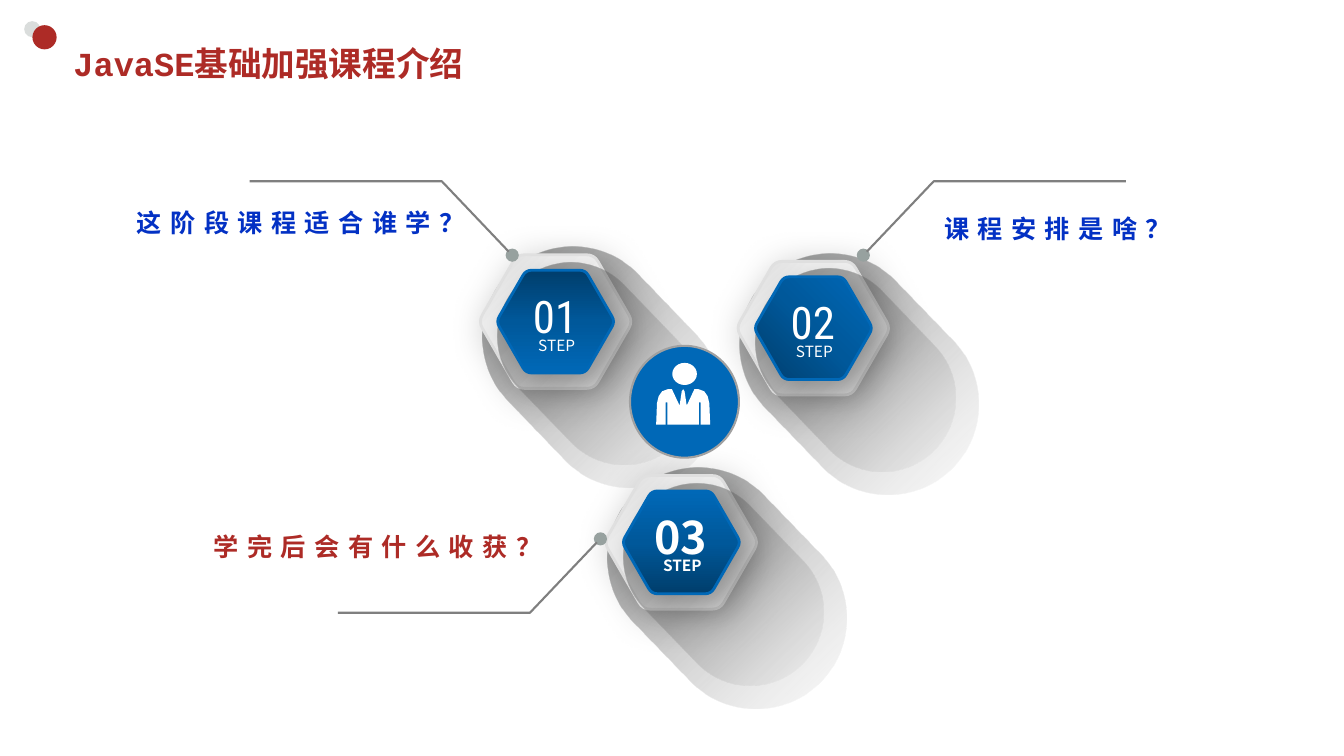
from math import cos, sin, radians

from lxml import etree
from pptx import Presentation
from pptx.dml.color import RGBColor
from pptx.enum import shapes, text
from pptx.oxml import ns, parse_xml
from pptx.util import Pt

COLORS = {"red": "AD2B26", "pale": "DADDDC", "blue": "0068B7", "mid_blue": "00589A",
          "navy": "003E6C", "label": "0331C4", "white": "FFFFFF", "rim": "E0E0E0",
          "light": "ECECEC", "silver": "D9D9D9", "dot": "97A19F", "leader": "7F7F7F",
          "ring": "A0A0A0", "soot": "363C3B", "smoke": "6C6C6C", "mist": "D8D8D8"}
RGB = {name: RGBColor.from_string(value) for name, value in COLORS.items()}
CJK = "Noto Sans CJK SC"
OVAL = shapes.MSO_SHAPE.OVAL
CENTER, LEFT, RIGHT = (text.PP_ALIGN.CENTER, text.PP_ALIGN.LEFT, text.PP_ALIGN.RIGHT)


def gradient(shape, stops, direction):
    """Fill with (percent, colour, opacity) stops, along an angle or from the lower left."""
    if direction == "corner":
        shade = '<a:path path="circle"><a:fillToRect t="100000" r="100000"/></a:path>'
    else:
        shade = f'<a:lin ang="{direction * 60000}" scaled="0"/>'
    marks = "".join(
        f'<a:gs pos="{pos * 1000}"><a:srgbClr val="{COLORS[color]}">'
        f'<a:alpha val="{opacity * 1000}"/></a:srgbClr></a:gs>'
        for pos, color, opacity in stops)
    fill = parse_xml(f'<a:gradFill {ns.nsdecls("a")} rotWithShape="1">'
                     f'<a:gsLst>{marks}</a:gsLst>{shade}</a:gradFill>')
    shape.fill.background()
    properties = shape._element.spPr
    properties.replace(properties.find(ns.qn("a:noFill")), fill)


def write(words, left, top, width, height, size, color, font=CJK, bold=True,
          align=LEFT, spacing=0, leading=1.0):
    box = page.shapes.add_textbox(Pt(left), Pt(top), Pt(width), Pt(height))
    box.text_frame.word_wrap = True
    para = box.text_frame.paragraphs[0]
    para.text = words
    para.alignment = align
    para.line_spacing = leading
    para.font.size = Pt(size)
    para.font.bold = bold
    para.font.color.rgb = RGB[color]
    para.font.name = font
    style = para._p.pPr.find(ns.qn("a:defRPr"))
    style.set("spc", str(spacing * 100))
    etree.SubElement(style, ns.qn("a:ea")).set("typeface", CJK)
    return box


deck = Presentation()
deck.slide_width, deck.slide_height = Pt(960), Pt(540)
page = deck.slides.add_slide(deck.slide_layouts[6])

# Title with its two dots
for left, top, size, color in [(17.3, 15.1, 11.5, "pale"), (23.2, 18, 17.3, "red")]:
    dot = page.shapes.add_shape(OVAL, Pt(left), Pt(top), Pt(size), Pt(size))
    dot.shadow.inherit = False
    dot.fill.solid()
    dot.fill.fore_color.rgb = RGB[color]
    dot.line.fill.background()
title = write("JavaSE基础加强课程介绍", 45.4, 26.6, 846, 37.4, 24, "red", "Courier New")
title.text_frame.vertical_anchor = text.MSO_ANCHOR.MIDDLE

# Hexagon steps: a pale plate and a blue face, each over a long soft shade
SHADE = [(0, "soot", 61), (37, "smoke", 50), (100, "mist", 0)]
PLATE = [(0, "white", 100), (73, "light", 100), (100, "silver", 100)]
FACE = [(0, "navy", 100), (50, "mid_blue", 100), (100, "blue", 100)]
CUT = 0.1  # share of each side taken by a rounded corner
steps = [("01", 396.9, 229.7, 90, "Roboto Condensed", False),
         ("03", 486.7, 387.4, 270, CJK, True),
         ("02", 581, 234.4, "corner", "Roboto Condensed", False)]

for number, x, y, face_direction, font, bold in steps:
    layers = [(55.1, PLATE, 225, "rim", (188.6, 129.6, 32.7), (28, 28, 7)),
              (42.4, FACE, face_direction, "blue", (159.8, 105.1, 30), (25, 20, 9))]
    for radius, stops, direction, edge, (width, height, shift), (opacity, blur, distance) in layers:
        shade = page.shapes.add_shape(
            shapes.MSO_SHAPE.ROUNDED_RECTANGLE, Pt(x + shift - width / 2),
            Pt(y + shift - height / 2), Pt(width), Pt(height))
        shade.adjustments[0] = 0.5
        shade.rotation = 46
        shade.shadow.inherit = False
        shade.line.fill.background()
        gradient(shade, SHADE, 0)

        corners = [(x + radius * cos(radians(a)), y + radius * sin(radians(a)))
                   for a in range(0, 360, 60)]
        outline = []
        for i, corner in enumerate(corners):
            before, after = corners[i - 1], corners[(i + 1) % 6]
            for t in (0, 0.25, 0.5, 0.75, 1):
                outline.append(tuple(
                    Pt(c + CUT * ((1 - t) ** 2 * (b - c) + t ** 2 * (a - c)))
                    for b, c, a in zip(before, corner, after)))
        builder = page.shapes.build_freeform(*outline[0])
        builder.add_line_segments(outline[1:])
        hexagon = builder.convert_to_shape()
        gradient(hexagon, stops, direction)
        hexagon.line.color.rgb = RGB[edge]
        hexagon.line.width = Pt(2)
        hexagon.shadow.inherit = False
        effects = hexagon._element.spPr.find(ns.qn("a:effectLst"))
        effects.append(parse_xml(
            f'<a:outerShdw {ns.nsdecls("a")} blurRad="{Pt(blur)}" dist="{Pt(distance)}" '
            f'dir="2700000" algn="tl" rotWithShape="0"><a:srgbClr val="000000">'
            f'<a:alpha val="{opacity * 1000}"/></a:srgbClr></a:outerShdw>'))
    write(number, x - 28.5, y - 27.2, 56.2, 42.5, 32, "white", font, bold, CENTER)
    write("STEP", x - 27.7, y + 6.5, 56.9, 18.7, 11, "white", CJK, bold, CENTER)

# Leader lines, each starting at a dot and running outwards
for x, y, across, down in [(619.2, 179.8, 1, -1), (363.4, 179.8, -1, -1), (426.4, 387.4, -1, 1)]:
    dot = page.shapes.add_shape(OVAL, Pt(x - 2.5 * across - 4.7), Pt(y - 2.5 * down - 4.7),
                                Pt(9.4), Pt(9.4))
    dot.shadow.inherit = False
    dot.fill.solid()
    dot.fill.fore_color.rgb = RGB["dot"]
    dot.line.fill.background()
    builder = page.shapes.build_freeform(Pt(x), Pt(y))
    builder.add_line_segments([(Pt(x + 47.8 * across), Pt(y + 50.3 * down)),
                               (Pt(x + 185 * across), Pt(y + 50.3 * down))], close=False)
    leader = builder.convert_to_shape()
    leader.shadow.inherit = False
    leader.fill.background()
    leader.line.color.rgb = RGB["leader"]
    leader.line.width = Pt(1.5)

# Central disc with a person
disc = page.shapes.add_shape(OVAL, Pt(450), Pt(247), Pt(77.8), Pt(79.9))
head = page.shapes.add_shape(OVAL, Pt(480.2), Pt(259.2), Pt(17.6), Pt(15.8))
half = [(0, 278), (1, 279.5), (2.5, 289.5), (0, 295), (4.3, 286), (8, 278), (11, 278),
        (15, 279.5), (17.5, 283), (18.7, 288), (19.3, 303.3), (12.5, 303.3),
        (12.5, 287.5), (11.3, 287.5), (11.3, 303.3)]
body_points = ([(Pt(488 + dx), Pt(y)) for dx, y in half]
               + [(Pt(488 - dx), Pt(y)) for dx, y in reversed(half)])
builder = page.shapes.build_freeform(*body_points[0])
builder.add_line_segments(body_points[1:])
body = builder.convert_to_shape()
for part, color in [(disc, "blue"), (head, "white"), (body, "white")]:
    part.shadow.inherit = False
    part.fill.solid()
    part.fill.fore_color.rgb = RGB[color]
    part.line.fill.background()
disc.line.color.rgb = RGB["ring"]
disc.line.width = Pt(1.5)

# Questions
write("学完后会有什么收获？", 123.1, 375.8, 270.7, 28.8, 18, "red", align=RIGHT, spacing=6)
write("这阶段课程适合谁学？", 90.7, 133.9, 260, 36, 18, "label", spacing=6, leading=1.5)
write("课程安排是啥？", 667.4, 138.2, 232.6, 36, 18, "label", spacing=6, leading=1.5)

deck.save("out.pptx")
